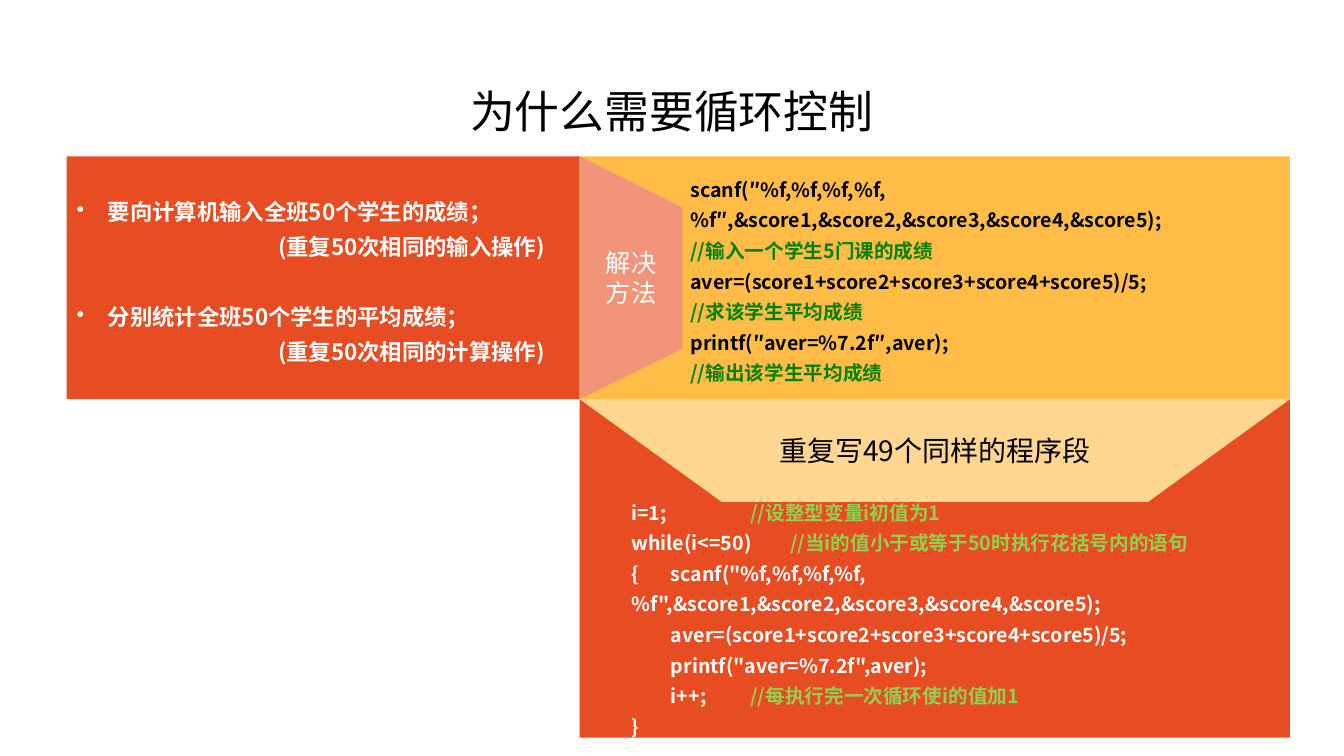
from lxml.etree import SubElement
from pptx import Presentation
from pptx.dml.color import RGBColor
from pptx.enum.shapes import MSO_SHAPE as Preset
from pptx.enum.text import MSO_ANCHOR as Anchor, PP_ALIGN as Align
from pptx.oxml.ns import qn
from pptx.util import Cm, Pt

FONT = "Noto Sans CJK SC"
BLACK = RGBColor(0x00, 0x00, 0x00)
WHITE = RGBColor(0xFF, 0xFF, 0xFF)
RED = RGBColor(0xE8, 0x4C, 0x22)
PINK = RGBColor(0xF1, 0x94, 0x7A)
AMBER = RGBColor(0xFF, 0xBD, 0x47)
PALE_AMBER = RGBColor(0xFF, 0xD7, 0x91)
GREEN = RGBColor(0x00, 0x80, 0x00)
LIME = RGBColor(0x92, 0xD0, 0x50)

LEFT, SPLIT, RIGHT = 1.68, 14.61, 32.51
TOP, MIDDLE, BOTTOM = 3.94, 10.06, 18.59
TAB_STEP, TAB_COUNT = 1, 8
BULLET_INDENT, NOTE_INDENT = 0.79, 5.08

TASKS = [
    ("要向计算机输入全班50个学生的成绩；", "(重复50次相同的输入操作)"),
    ("分别统计全班50个学生的平均成绩；", "(重复50次相同的计算操作)"),
]
SINGLE_CODE = [
    ("scanf(″%f,%f,%f,%f,%f″,&score1,&score2,&score3,&score4,&score5);", ""),
    ("", "//输入一个学生5门课的成绩"),
    ("aver=(score1+score2+score3+score4+score5)/5;", ""),
    ("", "//求该学生平均成绩"),
    ("printf(″aver=%7.2f″,aver);", ""),
    ("", "//输出该学生平均成绩"),
]
LOOP_CODE = [
    ("i=1;\t\t\t", "//设整型变量i初值为1"),
    ("while(i<=50)\t", "//当i的值小于或等于50时执行花括号内的语句"),
    ('{\tscanf("%f,%f,%f,%f,%f",&score1,&score2,&score3,&score4,&score5);', ""),
    ("\taver=(score1+score2+score3+score4+score5)/5;", ""),
    ('\tprintf("aver=%7.2f",aver);', ""),
    ("\ti++;\t\t", "//每执行完一次循环使i的值加1"),
    ("}", ""),
]


def set_all(target, values):
    for name, value in values.items():
        setattr(target, name, value)


def add_run(paragraph, text, size, color, bold=False):
    run = paragraph.add_run()
    run.text = text
    set_all(run.font, {"name": FONT, "size": Pt(size), "bold": bold})
    run.font.color.rgb = color
    SubElement(run.font._element, qn("a:ea"), typeface=FONT)


def style_shape(shape, color, margins):
    shape.shadow.inherit = False
    shape.fill.solid()
    shape.fill.fore_color.rgb = color
    shape.line.fill.background()
    names = ("margin_left", "margin_top", "margin_right", "margin_bottom")
    values = dict(zip(names, map(Cm, margins)))
    set_all(shape.text_frame, {"word_wrap": True, "vertical_anchor": Anchor.MIDDLE, **values})
    return shape.text_frame


def add_panel(slide, preset, box, color, margins):
    shape = slide.shapes.add_shape(preset, *map(Cm, box))
    return style_shape(shape, color, margins)


def add_paragraph(frame, first, **values):
    paragraph = frame.paragraphs[0] if first else frame.add_paragraph()
    set_all(paragraph, {"alignment": Align.LEFT, **values})
    return paragraph


def set_indent(paragraph, margin, bullet=False):
    properties = paragraph._p.get_or_add_pPr()
    properties.set("marL", str(Cm(margin)))
    properties.set("indent", str(Cm(-margin if bullet else 0)))
    if bullet:
        SubElement(properties, qn("a:buChar"), char="•")


def add_tabs(paragraph):
    tabs = SubElement(paragraph._p.get_or_add_pPr(), qn("a:tabLst"))
    for number in range(1, TAB_COUNT + 1):
        SubElement(tabs, qn("a:tab"), pos=str(Cm(number * TAB_STEP)), algn="l")


def add_title(slide, text):
    title = slide.shapes.title
    box = {"left": 2.33, "top": 1.02, "width": 29.21, "height": 3.68}
    set_all(title, {name: Cm(value) for name, value in box.items()})
    title.text_frame.vertical_anchor = Anchor.MIDDLE
    paragraph = add_paragraph(title.text_frame, True, alignment=Align.CENTER, line_spacing=0.9)
    add_run(paragraph, text, 32, BLACK)


def add_code(frame, lines, code_color, comment_color):
    for index, (code, comment) in enumerate(lines):
        paragraph = add_paragraph(frame, index == 0, line_spacing=1.3)
        add_tabs(paragraph)
        for text, color in ((code, code_color), (comment, comment_color)):
            if text:
                add_run(paragraph, text, 14, color, True)


def add_tasks(frame):
    for index, (task, note) in enumerate(TASKS):
        paragraph = add_paragraph(frame, index == 0, line_spacing=1.3)
        set_indent(paragraph, BULLET_INDENT, bullet=True)
        if index:
            paragraph.space_before = Pt(25)
        add_run(paragraph, task, 16, WHITE, True)
        paragraph = add_paragraph(frame, False, line_spacing=1.3)
        set_indent(paragraph, NOTE_INDENT)
        add_run(paragraph, note, 16, WHITE, True)


def add_label(frame, lines, size, color):
    for index, text in enumerate(lines):
        paragraph = add_paragraph(frame, index == 0, alignment=Align.CENTER)
        add_run(paragraph, text, size, color)


def add_wedge(slide):
    tip = SPLIT + 2.59
    builder = slide.shapes.build_freeform(Cm(SPLIT), Cm(TOP))
    corners = [(tip, TOP + 1.29), (tip, MIDDLE - 1.27), (SPLIT, MIDDLE)]
    builder.add_line_segments([(Cm(x), Cm(y)) for x, y in corners], close=True)
    return style_shape(builder.convert_to_shape(), PINK, (0.25, 0.13, 0.25, 0.13))


def main():
    presentation = Presentation()
    set_all(presentation, {"slide_width": Cm(33.87), "slide_height": Cm(19.05)})
    slide = presentation.slides.add_slide(presentation.slide_layouts[5])
    width, height = RIGHT - SPLIT, MIDDLE - TOP

    add_title(slide, "为什么需要循环控制")
    loop = add_panel(slide, Preset.RECTANGLE, (SPLIT, MIDDLE, width, BOTTOM - MIDDLE),
                     RED, (1.3, 2.49, 0.25, 0.1))
    add_code(loop, LOOP_CODE, WHITE, LIME)
    funnel = add_panel(slide, Preset.FLOWCHART_MANUAL_OPERATION, (SPLIT, MIDDLE, width, 2.59),
                       PALE_AMBER, (0.18, 0.1, 0.18, 0.1))
    add_label(funnel, ["重复写49个同样的程序段"], 20, BLACK)
    single = add_panel(slide, Preset.RECTANGLE, (SPLIT, TOP, width, height),
                       AMBER, (2.79, 0.1, 0.25, 0.1))
    add_code(single, SINGLE_CODE, BLACK, GREEN)
    tasks = add_panel(slide, Preset.RECTANGLE, (LEFT, TOP, SPLIT - LEFT, height),
                      RED, (0.25, 0.1, 0.25, 0.1))
    add_tasks(tasks)
    add_label(add_wedge(slide), ["解决", "方法"], 18, WHITE)
    presentation.save("out.pptx")


if __name__ == "__main__":
    main()
